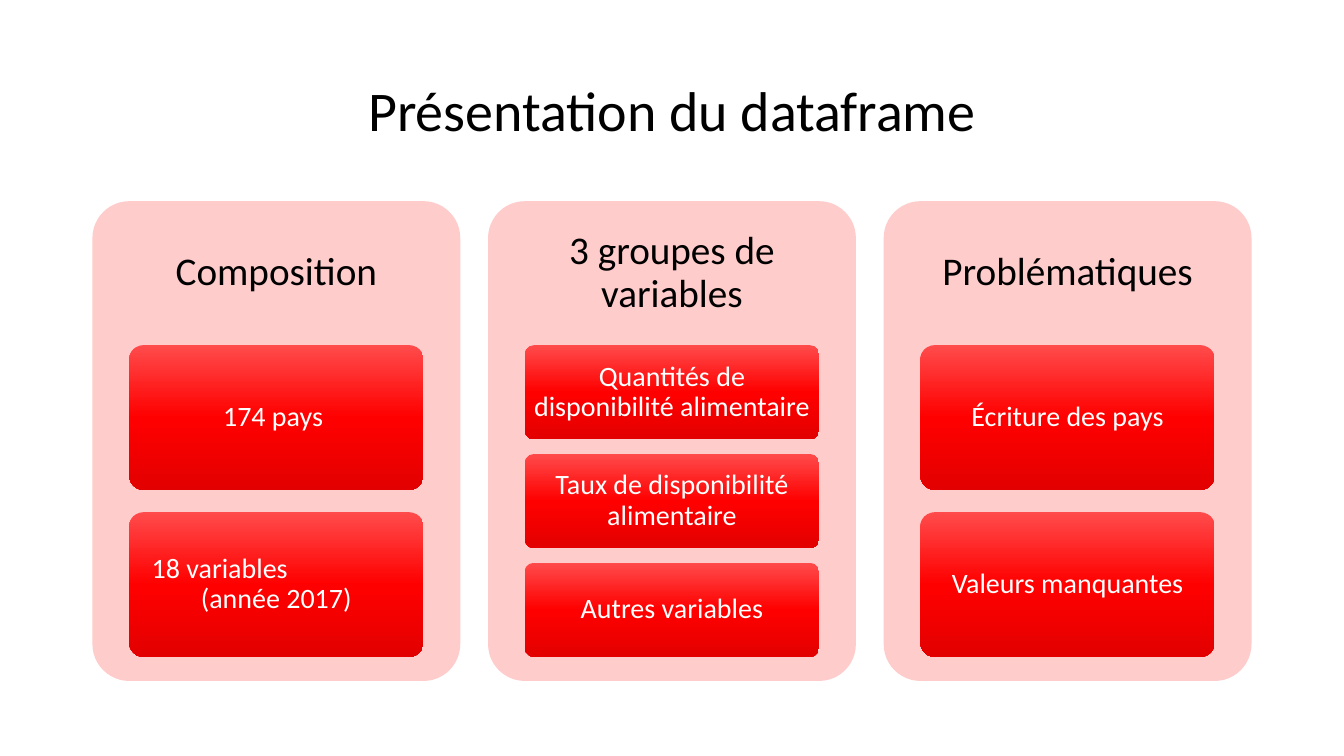
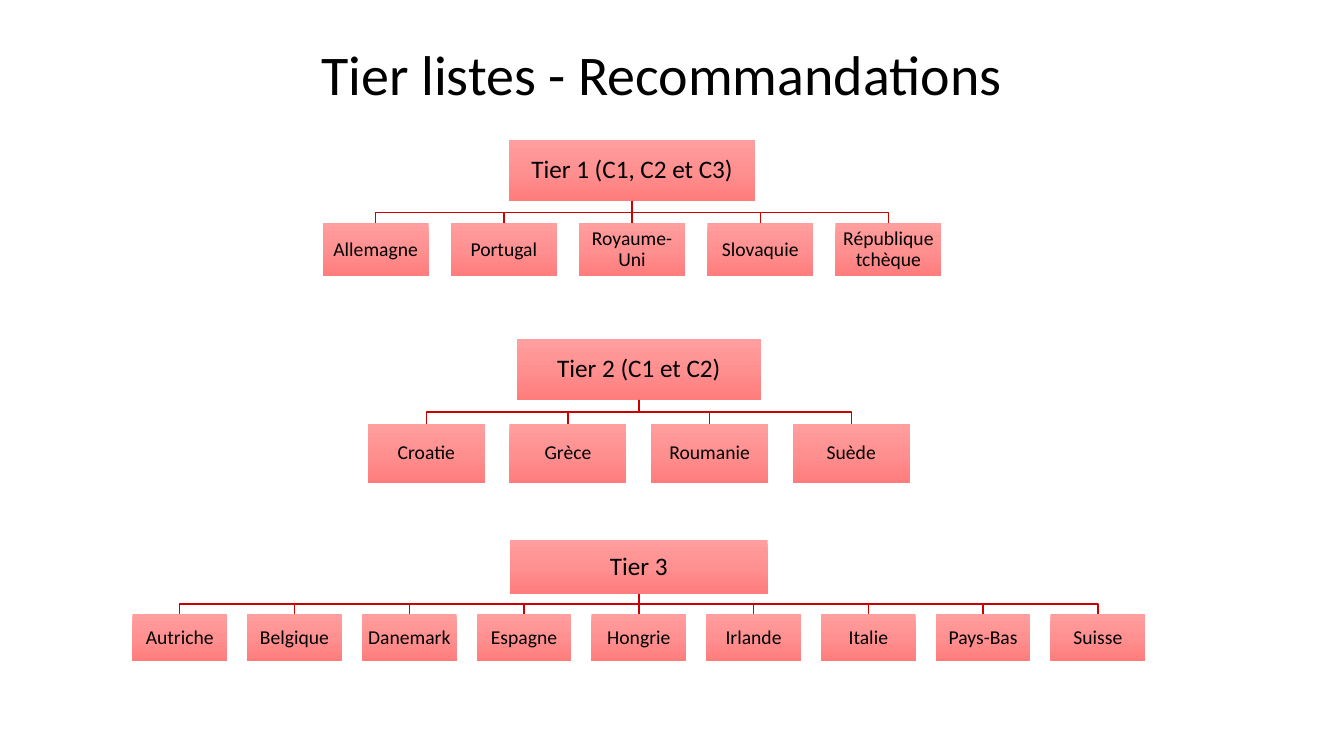
import copy

import pptx
import pptx.dml.color
import pptx.enum.shapes
import pptx.enum.text
import pptx.oxml
import pptx.oxml.ns
import pptx.util

Cm = pptx.util.Cm
ALIGN = pptx.enum.text.PP_ALIGN
SHAPE = pptx.enum.shapes.MSO_SHAPE

# Shared style
FONT = "Calibri"
COLORS = {"text": "000000", "light": "FFFFFF", "card": "FFCCCC", "branch": "CC0000"}
GRADIENTS = {
    "item": ("FF4B4B", "FF0000", "E30000"),
    "tier": ("FF9E9E", "FF9090", "FF7C7C"),
}
TITLE_ONLY = 5

# Content
CARDS = [
    ("Composition", ["174 pays ", ("18 variables", "(année 2017)")]),
    ("3 groupes de variables", ["Quantités de disponibilité alimentaire",
                                "Taux de disponibilité alimentaire",
                                "Autres variables"]),
    ("Problématiques", ["Écriture des pays", "Valeurs manquantes"]),
]
# Heading, countries, centre, top, heading width, heading height, country width
TIERS = [
    ("Tier 1 (C1, C2 et C3)",
     ["Allemagne", "Portugal", "Royaume-Uni", "Slovaquie", "République tchèque"],
     15.93, 3.52, 6.2, 1.55, 2.67),
    ("Tier 2 (C1 et C2)", ["Croatie", "Grèce", "Roumanie", "Suède"],
     16.1, 8.55, 6.15, 1.52, 2.95),
    ("Tier 3",
     ["Autriche", "Belgique", "Danemark", "Espagne", "Hongrie", "Irlande",
      "Italie", "Pays-Bas", "Suisse"],
     16.1, 13.6, 6.5, 1.37, 2.39),
]


def rgb(hex_color):
    return pptx.dml.color.RGBColor.from_string(hex_color)


def write(shape, text, size=20, color="text", inset=(0.15, 0.1), lead_indent=0.31):
    """Write centred text; of a tuple of lines, the first is left-aligned and indented."""
    frame = shape.text_frame
    frame.word_wrap = True
    frame.auto_size = pptx.enum.text.MSO_AUTO_SIZE.NONE
    frame.vertical_anchor = pptx.enum.text.MSO_ANCHOR.MIDDLE
    frame.margin_left = frame.margin_right = Cm(inset[0])
    frame.margin_top = frame.margin_bottom = Cm(inset[1])
    lines = (text,) if isinstance(text, str) else text
    frame.text = "\n".join(lines)
    for paragraph in frame.paragraphs:
        paragraph.alignment = ALIGN.CENTER
        paragraph.line_spacing = 0.9
        font = paragraph.runs[0].font
        font.name, font.size = FONT, pptx.util.Pt(size)
        font.color.rgb = rgb(COLORS[color])
    if len(lines) > 1:
        lead = frame.paragraphs[0]
        lead.alignment = ALIGN.LEFT
        lead._p.get_or_add_pPr().set("marL", str(Cm(lead_indent)))


def add_titled_slide(deck, title, left, top, width, height):
    slide = deck.slides.add_slide(deck.slide_layouts[TITLE_ONLY])
    heading = slide.shapes.title
    heading.left, heading.top = Cm(left), Cm(top)
    heading.width, heading.height = Cm(width), Cm(height)
    write(heading, title, size=40, inset=(0.25, 0.13))
    return slide


def add_box(slide, kind, left, top, width, height):
    box = slide.shapes.add_shape(kind, Cm(left), Cm(top), Cm(width), Cm(height))
    box.shadow.inherit = False
    box.line.fill.background()
    if kind == SHAPE.ROUNDED_RECTANGLE:
        box.adjustments[0] = 0.1
    return box


def shade(box, gradient):
    """Fill from top to bottom with three evenly spaced colours."""
    fill = box.fill
    fill.gradient()
    fill.gradient_angle = 270
    stops = box._element.spPr.find(".//" + pptx.oxml.ns.qn("a:gsLst"))
    stops.append(copy.deepcopy(stops[-1]))
    for stop, position, color in zip(fill.gradient_stops, (0, 0.5, 1), GRADIENTS[gradient]):
        stop.position = position
        stop.color.rgb = rgb(color)


def style_branch(branch):
    branch.line.color.rgb = rgb(COLORS["branch"])
    branch.line.width = pptx.util.Pt(1)


def add_trunk(slide, parent, child):
    """Join a heading to the country straight below it."""
    trunk = slide.shapes.add_connector(
        pptx.enum.shapes.MSO_CONNECTOR.STRAIGHT, 0, 0, 0, 0)
    trunk.begin_connect(parent, 2)
    trunk.end_connect(child, 0)
    style_branch(trunk)
    trunk._element.spPr.append(pptx.oxml.parse_xml(
        f"<a:effectLst {pptx.oxml.ns.nsdecls('a')}/>"))


def add_elbow(slide, x1, y1, x2, y2):
    """Draw an open outline down, across and down again."""
    middle = (y1 + y2) / 2
    outline = slide.shapes.build_freeform(Cm(x1), Cm(y1))
    corners = [(x1, middle), (x2, middle), (x2, y2)]
    outline.add_line_segments([(Cm(x), Cm(y)) for x, y in corners], close=False)
    elbow = outline.convert_to_shape()
    elbow.shadow.inherit = False
    elbow.fill.background()
    style_branch(elbow)


def add_card(slide, heading, items, left, top, width, height):
    card = add_box(slide, SHAPE.ROUNDED_RECTANGLE, left, top, width, height)
    card.fill.solid()
    card.fill.fore_color.rgb = rgb(COLORS["card"])
    heading_height = 0.3 * height
    heading_box = slide.shapes.add_textbox(
        Cm(left), Cm(top), Cm(width), Cm(heading_height))
    write(heading_box, heading, size=28, inset=(0.3, 0.3))

    # Items share 65 % of the card, with gaps in proportion to their height
    gap_ratio = 0.154
    item_height = 0.65 * height / (len(items) + (len(items) - 1) * gap_ratio)
    for row, text in enumerate(items):
        item_top = top + heading_height + row * item_height * (1 + gap_ratio)
        item = add_box(slide, SHAPE.ROUNDED_RECTANGLE, left + 0.1 * width, item_top,
                       0.8 * width, item_height)
        shade(item, "item")
        write(item, text, color="light")


def add_tier(slide, heading, countries, center, top, width, height, country_width):
    def add_node(text, left, node_top, node_width, node_height, size):
        node = add_box(slide, SHAPE.RECTANGLE, left, node_top, node_width, node_height)
        shade(node, "tier")
        write(node, text, size=size, inset=(0.03, 0.03))
        return node

    gap = 0.21 * country_width
    pitch = country_width + gap
    bottom = top + height
    parent = add_node(heading, center - width / 2, top, width, height, 18)

    # Countries, centred under the heading
    for column, country in enumerate(countries):
        offset = column - (len(countries) - 1) / 2
        x = center + offset * pitch
        child = add_node(country, x - country_width / 2, bottom + gap,
                         country_width, country_width / 2, 14)
        if offset == 0:
            add_trunk(slide, parent, child)
        else:
            add_elbow(slide, center, bottom, x, bottom + gap)


def main():
    deck = pptx.Presentation()
    deck.slide_width, deck.slide_height = Cm(33.87), Cm(19.05)

    # Dataframe overview
    overview = add_titled_slide(deck, "Présentation du dataframe", 2.33, 1.01, 29.21, 3.68)
    for column, (heading, items) in enumerate(CARDS):
        add_card(overview, heading, items, 2.33 + column * 9.97, 5.07, 9.27, 12.09)

    # Tier lists
    tier_lists = add_titled_slide(deck, "Tier listes - Recommandations", 2.7, 0.76, 27.94, 2.39)
    for tier in TIERS:
        add_tier(tier_lists, *tier)

    deck.save("out.pptx")


if __name__ == "__main__":
    main()
